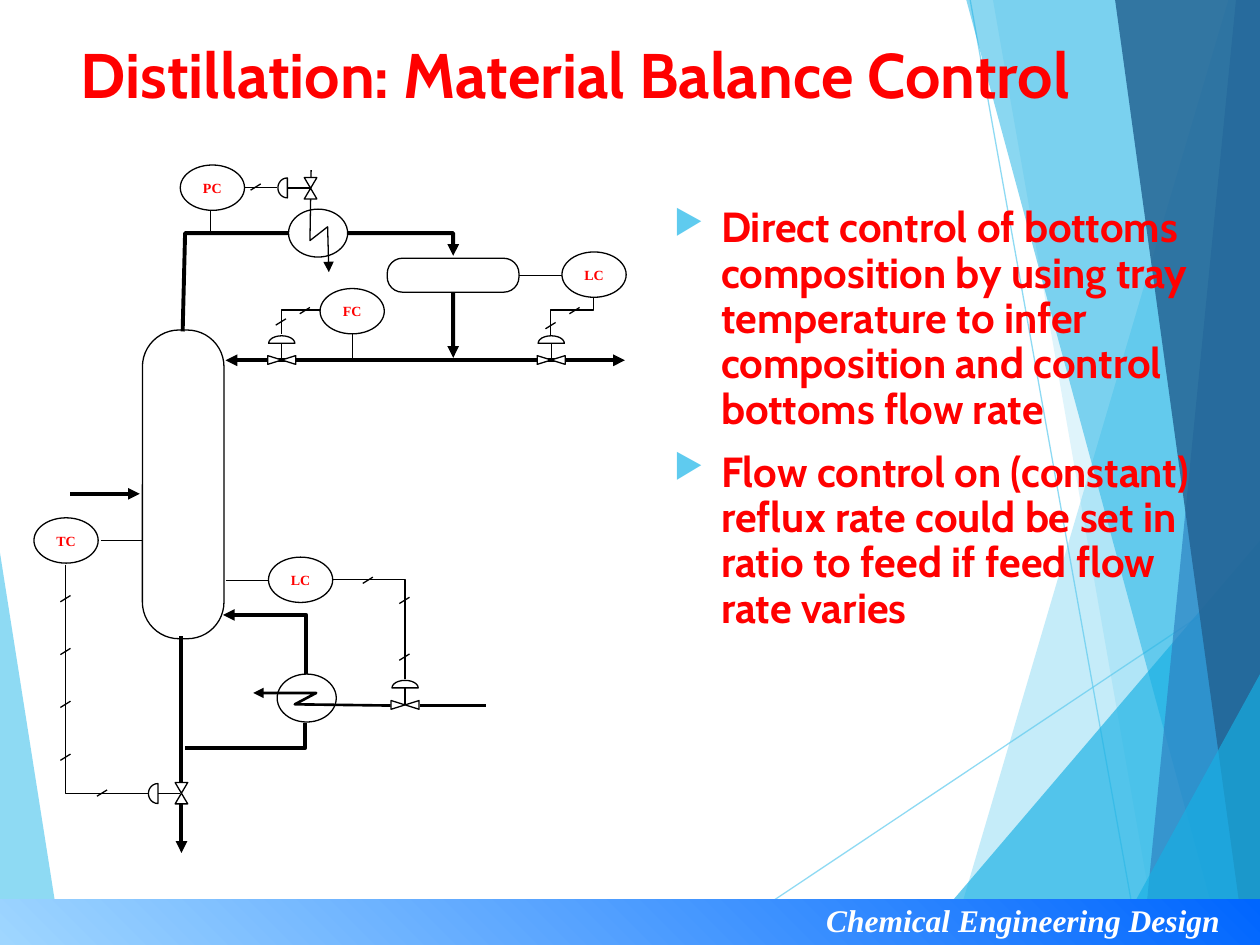
"""Build the slide on material balance control of a distillation column."""
from math import cos, pi, sin

from lxml.etree import SubElement
from pptx import Presentation
from pptx.dml.color import RGBColor
from pptx.enum.shapes import MSO_CONNECTOR, MSO_SHAPE
from pptx.enum.text import MSO_ANCHOR, PP_ALIGN
from pptx.oxml.ns import qn
from pptx.util import Pt


def style(shape, fill=None, line="000000", width=0.75, opacity=100, arrow=False):
    if hasattr(shape, "fill"):
        if fill:
            shape.fill.solid()
            shape.fill.fore_color.rgb = RGBColor.from_string(fill)
        else:
            shape.fill.background()
    if line:
        shape.line.color.rgb = RGBColor.from_string(line)
        shape.line.width = Pt(width)
    else:
        shape.line.fill.background()
    properties = shape._element.spPr
    if opacity < 100:
        for color in properties.iter(qn("a:srgbClr")):
            SubElement(color, qn("a:alpha"), val=str(opacity * 1000))
    if arrow:
        SubElement(properties.find(qn("a:ln")), qn("a:tailEnd"), type="triangle")
    SubElement(properties, qn("a:effectLst"))


def write_text(shape, *texts, size, font, color="FF0000", italic=False, wrap=True,
               align=PP_ALIGN.LEFT, anchor=MSO_ANCHOR.TOP, bullet=None,
               spacing=None, gap=0):
    frame = shape.text_frame
    frame.word_wrap = wrap
    frame.vertical_anchor = anchor
    for index, text in enumerate(texts):
        paragraph = frame.add_paragraph() if index else frame.paragraphs[0]
        paragraph.text = text
        paragraph.alignment = align
        if spacing:
            paragraph.line_spacing = spacing
        if index:
            paragraph.space_before = Pt(gap)
        if bullet:
            layout = paragraph._p.get_or_add_pPr()
            layout.set("marL", str(Pt(27)))
            layout.set("indent", str(Pt(-27)))
            bullet_color = SubElement(layout, qn("a:buClr"))
            SubElement(bullet_color, qn("a:srgbClr"), val="5FCBEF")
            SubElement(layout, qn("a:buSzPct"), val="80000")
            SubElement(layout, qn("a:buChar"), char=bullet)
        paragraph.font.size = Pt(size)
        paragraph.font.name = font
        paragraph.font.bold = True
        paragraph.font.italic = italic
        paragraph.font.color.rgb = RGBColor.from_string(color)


presentation = Presentation()
presentation.slide_width, presentation.slide_height = Pt(720), Pt(540)
slide = presentation.slides.add_slide(presentation.slide_layouts[6])
shapes = slide.shapes

for x1, y1, x2, y2 in [(403.9, 540, 720, 329), (554.4, 0, 650.9, 540)]:
    ray = shapes.add_connector(MSO_CONNECTOR.STRAIGHT, Pt(x1), Pt(y1), Pt(x2), Pt(y2))
    style(ray, line="5FCBEF", opacity=70)

facets = [
    ([(0, 316), (35.3, 540), (0, 540)], "5FCBEF", 70),
    ([(702, 0), (542.9, 540), (720, 540), (720, 0)], "5FCBEF", 36),
    ([(567.4, 0), (661.7, 540), (720, 540), (720, 0)], "5FCBEF", 20),
    ([(522.7, 540), (720, 308.9), (720, 540)], "17B0E4", 66),
    ([(552.2, 0), (698.4, 540), (720, 540), (720, 0)], "17B0E4", 50),
    ([(706.3, 0), (653, 540), (720, 540), (720, 0)], "2E83C3", 70),
    ([(637.2, 0), (711.4, 540), (720, 540), (720, 0)], "236292", 82),
    ([(635, 540), (720, 385.2), (720, 540)], "17B0E4", 66),
]
for corners, color, opacity in facets:
    (start_x, start_y), *rest = [(Pt(x), Pt(y)) for x, y in corners]
    outline = shapes.build_freeform(start_x, start_y)
    outline.add_line_segments(rest, close=True)
    style(outline.convert_to_shape(), fill=color, line=None, opacity=opacity)

footer_band = shapes.add_shape(MSO_SHAPE.RECTANGLE, 0, Pt(514), Pt(720), Pt(26))
style(footer_band, line=None)
footer_band.fill.gradient()
footer_band.fill.gradient_angle = 45
for stop, color in zip(footer_band.fill.gradient_stops, ("9FD6FF", "0066FF")):
    stop.color.rgb = RGBColor.from_string(color)
footer = shapes.add_textbox(Pt(465), Pt(511.2), Pt(250), Pt(28.8))
write_text(footer, "Chemical Engineering Design", size=18, font="Times New Roman",
           color="FFFFFF", italic=True)

title = shapes.add_textbox(Pt(39), Pt(16.5), Pt(648), Pt(90))
write_text(title, "Distillation: Material Balance Control", size=36, font="Cabin")
notes = shapes.add_textbox(Pt(378), Pt(114.5), Pt(316), Pt(356))
write_text(
    notes,
    "Direct control of bottoms composition by using tray temperature to infer "
    "composition and control bottoms flow rate",
    "Flow control on (constant) reflux rate could be set in ratio to feed if feed "
    "flow rate varies",
    size=24, font="Cabin", bullet="▶", spacing=0.9, gap=10)

vessels = []
for x, y, w, h in [(81.4, 188.6, 46.6, 176.4), (221.3, 147.6, 75.3, 19.4)]:
    vessel = shapes.add_shape(MSO_SHAPE.ROUNDED_RECTANGLE, Pt(x), Pt(y), Pt(w), Pt(h))
    vessel.adjustments[0] = 0.45
    style(vessel, fill="FFFFFF")
    vessels.append(vessel)
column, drum = vessels

straight_lines = [
    (103.7, 363.6, 103.7, 447.1, 2.25, False),
    (157.7, 205.9, 357.1, 205.9, 2.25, True),
    (167.8, 205.9, 128.9, 205.9, 2.25, True),
    (40.3, 282.2, 79.9, 282.2, 2.25, True),
    (103.7, 459.4, 103.7, 487.4, 2.25, True),
    (239.8, 403.2, 277.9, 403.2, 1.5, False),
    (231.5, 393.1, 231.5, 402.5, 0.75, False),
    (315, 196.2, 315, 205.2, 0.75, False),
    (161, 196.2, 161, 205.2, 0.75, False),
    (90.5, 453.3, 103, 453.3, 0.75, False),
    (164.5, 107.5, 177.1, 107.5, 0.75, False),
    (57.6, 308.9, 81.4, 308.9, 0.75, False),
    (120.2, 120.2, 120.2, 132.5, 0.75, False),
    (133.9, 107.3, 158.4, 107.3, 0.75, False),
    (128.9, 331.9, 153.4, 331.9, 0.75, False),
    (201.6, 188.6, 201.6, 205.2, 0.5, False),
]
signal_ticks = [(40.3, 340.3 + 30.2 * step) for step in range(4)] + [
    (61.2, 451.4), (331.2, 175.7), (317.5, 184.3), (149, 105.1), (213.1, 329.8),
    (163.4, 182.2), (177.1, 175.7), (234, 373.7), (234, 341.3)]
straight_lines += [(x, y, x - 5.8, y + 3.6, 0.75, False) for x, y in signal_ticks]
for x1, y1, x2, y2, width, arrow in straight_lines:
    pipe = shapes.add_connector(MSO_CONNECTOR.STRAIGHT, Pt(x1), Pt(y1), Pt(x2), Pt(y2))
    style(pipe, width=width, arrow=arrow)

drum_lines = [(2, 259, 204.5, 2.25, True), (3, 321.1, 157.3, 0.75, False)]
for side, x, y, width, arrow in drum_lines:
    drum_line = shapes.add_connector(MSO_CONNECTOR.STRAIGHT, 0, 0, Pt(x), Pt(y))
    drum_line.begin_connect(drum, side)
    style(drum_line, width=width, arrow=arrow)

bent_lines = [
    ([(231.5, 388.1), (231.5, 331.2), (183.6, 331.2)], 0.75, False),
    ([(37.4, 322.6), (37.4, 453.6), (85, 453.6)], 0.75, False),
    ([(339.1, 169.9), (339.1, 177.1), (314.6, 177.1), (314.6, 191.5)], 0.75, False),
    ([(161, 190.8), (161, 177.1), (182.9, 177.1)], 0.75, False),
    ([(175, 385.2), (175, 351.4), (127.4, 351.4)], 2.25, True),
    ([(104.4, 189.4), (105.8, 133.2), (259, 133.2), (259, 146.2)], 2.25, True),
    ([(105.8, 427.7), (174.2, 427.7), (174.2, 413.3)], 2.25, False),
]
coils = [
    ([(177.8, 97.2), (177.1, 137.5), (187.2, 129.6), (187.9, 155.5)], 0.75, True),
    ([(223.2, 403.2), (168.5, 402.5), (180.7, 396), (144.7, 396)], 1.5, True),
]
exchangers = [(164.9, 119.5), (158.4, 385.2)]
for layer in (bent_lines, coils):
    for points, width, arrow in layer:
        (start_x, start_y), *rest = [(Pt(x), Pt(y)) for x, y in points]
        route = shapes.build_freeform(start_x, start_y)
        route.add_line_segments(rest, close=False)
        style(route.convert_to_shape(), width=width, arrow=arrow)
    if layer is bent_lines:
        for x, y in exchangers:
            exchanger = shapes.add_shape(MSO_SHAPE.OVAL, Pt(x), Pt(y), Pt(33.8), Pt(27.4))
            style(exchanger, fill="FFFFFF")

valves = [
    (231.5, 402.8, 5, 16, 270), (315, 205.7, 5, 16, 270), (161, 205.7, 5, 16, 270),
    (103.7, 453.3, 7.2, 12.2, 0), (177.5, 107.6, 7.2, 12.2, 0)]
for x, y, w, h, turn in valves:
    valve = shapes.add_shape(MSO_SHAPE.FLOWCHART_COLLATE, Pt(x - w / 2), Pt(y - h / 2),
                             Pt(w), Pt(h))
    valve.rotation = turn
    style(valve, fill="FFFFFF")

actuators = [
    (231.5, 393.1, 7.5, 4.3, 0), (315, 196.2, 7.5, 4.3, 0), (161, 196.2, 7.5, 4.3, 0),
    (90.2, 453.5, 5.4, 5.7, pi / 2), (164.2, 107.4, 5.4, 5.7, pi / 2)]
for x, y, radius_x, radius_y, turn in actuators:
    angles = [turn + pi * step / 12 for step in range(13)]
    (start_x, start_y), *rest = [
        (Pt(x + radius_x * cos(a)), Pt(y - radius_y * sin(a))) for a in angles]
    dome = shapes.build_freeform(start_x, start_y)
    dome.add_line_segments(rest, close=True)
    style(dome.convert_to_shape(), fill="FFFFFF")

controllers = [("PC", 103, 94.3), ("LC", 321.1, 144), ("FC", 182.9, 164.9),
               ("TC", 19.4, 295.9), ("LC", 153.4, 318.4)]
for label, x, y in controllers:
    controller = shapes.add_shape(MSO_SHAPE.OVAL, Pt(x), Pt(y), Pt(36.7), Pt(25.9))
    style(controller, fill="FFFFFF")
    write_text(controller, label, size=8, font="Times New Roman", wrap=False,
               align=PP_ALIGN.CENTER, anchor=MSO_ANCHOR.MIDDLE)

presentation.save("out.pptx")
